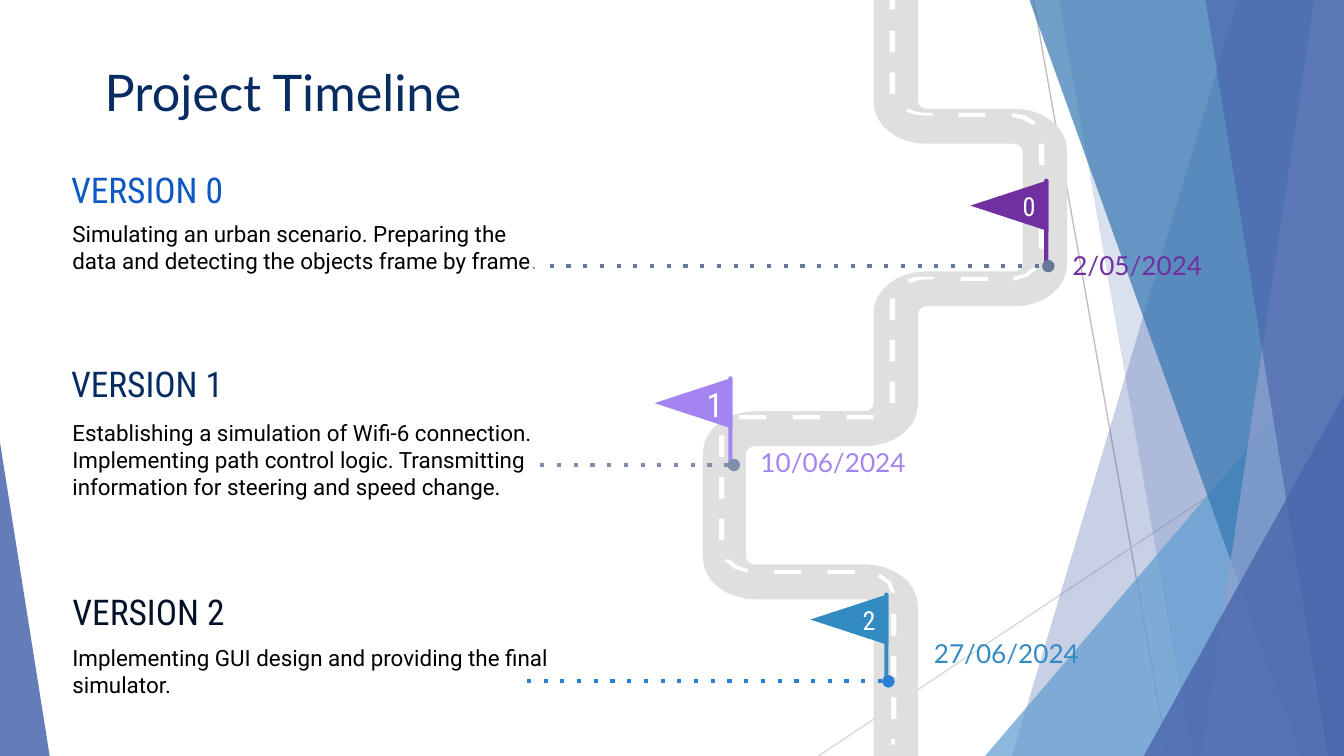
from dataclasses import dataclass
from math import cos, pi, sin

from lxml.etree import SubElement
from pptx import Presentation
from pptx.dml.color import RGBColor
from pptx.enum.shapes import MSO_CONNECTOR, MSO_SHAPE
from pptx.enum.text import MSO_ANCHOR, MSO_AUTO_SIZE, PP_ALIGN
from pptx.oxml.ns import qn
from pptx.util import Cm, Pt

WIDE = 10
FOOT = WIDE * 9 / 16


@dataclass(frozen=True)
class Theme:
    """Colours, fonts and type sizes of the slide."""
    navy: str = "072C62"
    ink: str = "000000"
    white: str = "FFFFFF"
    road: str = "DFDFDF"
    stop: str = "9D90A0"
    blue: str = "4A66AC"
    sky: str = "629DD1"
    teal: str = "3477B2"
    mist: str = "90A2CF"
    rays: tuple = ("BFBFBF", "D9D9D9")
    heads: tuple = ("0E58C4", "072C62", "031227")
    flags: tuple = ("7030A0", "A384F0", "328BC3")
    links: tuple = ("657896", "7F8FA9", "297FD5")
    sans: str = "Lato"
    text: str = "Roboto"
    slim: str = "Roboto Condensed"
    title: int = 27
    head: int = 19
    body: int = 12
    date: int = 14


def inch(size):
    """Turn inches into a length."""
    return Cm(2.54 * size)


def rgb(code):
    """Turn a hex code into a colour."""
    return RGBColor.from_string(code)


def bend(prev, spot, then, size):
    """Return points that round one square corner of the road."""
    def reach(goal):
        """Go from the corner toward a neighbour by the radius."""
        return [c + (0 if g == c else r if g > c else -r) for c, g, r in zip(spot, goal, size)]

    start, end = reach(prev), reach(then)
    turns = [i * pi / 16 for i in range(9)]
    return [tuple(s + e - c + (c - e) * cos(t) + (c - s) * sin(t)
                  for s, e, c in zip(start, end, spot)) for t in turns]


def box(x, y, wide, high):
    """Return the four corners of a box."""
    return [(x, y), (x + wide, y), (x + wide, y + high), (x, y + high)]


class Deck:
    """Holds the style and the current slide."""

    def __init__(self, theme):
        """Open a deck with one titled slide."""
        self.theme = theme
        self.show = Presentation()
        self.show.slide_width = inch(WIDE)
        self.show.slide_height = inch(FOOT)
        self.slide = self.show.slides.add_slide(self.show.slide_layouts[5])

    def paint(self, shape, tint, alpha=100):
        """Fill a shape with a plain colour."""
        shape.shadow.inherit = False
        shape.fill.solid()
        shape.fill.fore_color.rgb = rgb(tint)
        if alpha < 100:
            code = shape.element.spPr.find(".//" + qn("a:srgbClr"))
            SubElement(code, qn("a:alpha")).set("val", str(alpha * 1000))
        shape.line.fill.background()

    def shape(self, kind, area, tint, alpha=100, turn=0.5):
        """Add a preset shape."""
        item = self.slide.shapes.add_shape(kind, *map(inch, area))
        item.adjustments[0] = turn
        self.paint(item, tint, alpha)

    def outline(self, loops, tint, alpha=100):
        """Add one shape made of closed loops."""
        loops = [[(inch(x), inch(y)) for x, y in loop] for loop in loops]
        pen = self.slide.shapes.build_freeform(*loops[0][0], scale=1.0)
        for i, loop in enumerate(loops):
            if i:
                pen.move_to(*loop[0])
            pen.add_line_segments(loop[1:], close=True)
        self.paint(pen.convert_to_shape(), tint, alpha)

    def line(self, start, end, tint, width=0.75, dots=False):
        """Add a straight line, dotted with a round end if asked."""
        item = self.slide.shapes.add_connector(
            MSO_CONNECTOR.STRAIGHT, *map(inch, (*start, *end)))
        item.line.color.rgb = rgb(tint)
        item.line.width = Pt(width)
        if dots:
            edge = item.element.spPr.find(qn("a:ln"))
            SubElement(edge, qn("a:prstDash")).set("val", "dot")
            SubElement(edge, qn("a:tailEnd")).set("type", "oval")
        SubElement(item.element.spPr, qn("a:effectLst"))

    def style(self, para, font, size, tint):
        """Set the font of a paragraph."""
        para.font.name, para.font.size = font, Pt(size)
        para.font.color.rgb = rgb(tint)

    def title(self, words, area):
        """Place the slide title."""
        item = self.slide.shapes.title
        item.left, item.top, item.width, item.height = map(inch, area)
        frame = item.text_frame
        frame.text = words
        frame.auto_size = MSO_AUTO_SIZE.NONE
        frame.vertical_anchor = MSO_ANCHOR.MIDDLE
        frame.paragraphs[0].alignment = PP_ALIGN.CENTER
        self.style(frame.paragraphs[0], self.theme.sans, self.theme.title, self.theme.navy)

    def text(self, words, area, font, size, tint, grow=False):
        """Add a text box and return its paragraph."""
        frame = self.slide.shapes.add_textbox(*map(inch, area)).text_frame
        frame.word_wrap = True
        if grow:
            frame.auto_size = MSO_AUTO_SIZE.SHAPE_TO_FIT_TEXT
        else:
            frame.vertical_anchor = MSO_ANCHOR.MIDDLE
            frame.margin_top = frame.margin_bottom = inch(0.1)
        para = frame.paragraphs[0]
        para.add_run().text = words
        self.style(para, font, size, tint)
        return para

    def flag(self, x, y, mark, size, tint):
        """Add a numbered flag with the top of its pole at x, y."""
        self.outline([[(x, y + 0.01), (x, y + 0.39), (x - 0.58, y + 0.2)]], tint)
        self.shape(MSO_SHAPE.ROUNDED_RECTANGLE, (x - 0.03, y, 0.03, 0.66), tint)
        self.text(mark, (x - 0.29, y + 0.07, 0.38, 0.27), self.theme.slim, size, self.theme.white)

    def facets(self):
        """Add the rays and glass panes at the edges."""
        look = self.theme
        self.line((7.69, 0), (8.69, FOOT), look.rays[0])
        self.line((WIDE, 3.02), (6.09, FOOT), look.rays[1])

        def pane(top, foot, tint, alpha):
            """Add a pane that runs to the right edge."""
            self.outline([[(top, 0), (WIDE, 0), (WIDE, FOOT), (foot, FOOT)]], tint, alpha)

        def wedge(x, y, wide, tint, alpha, tip=1):
            """Add a triangle that stands on the foot of the slide."""
            self.shape(MSO_SHAPE.ISOSCELES_TRIANGLE, (x, y, wide, FOOT - y), tint, alpha, tip)

        pane(9.21, 7.53, look.blue, 30)
        pane(7.88, 8.87, look.blue, 20)
        wedge(7.33, 2.5, 2.67, look.sky, 72)
        pane(7.66, 9.68, look.teal, 70)
        pane(9.78, 8.94, look.mist, 70)
        pane(8.97, 9.88, look.blue, 65)
        wedge(8.51, 2.94, 1.49, look.blue, 80)
        wedge(0, 3.29, 0.37, look.blue, 85, 0)

    def road(self):
        """Add the winding road and its centre dashes."""
        wide, tight = (0.39, 0.31), (0.07, 0.06)
        spots = [(6.83, FOOT, None), (6.5, FOOT, None), (6.5, 4.46, tight), (5.23, 4.46, wide),
                 (5.23, 3.06, wide), (6.5, 3.06, tight), (6.5, 2.02, wide), (7.61, 2.02, tight),
                 (7.61, 1.07, tight), (6.5, 1.07, wide), (6.5, 0, None), (6.83, 0, None),
                 (6.83, 0.81, tight), (7.94, 0.81, wide), (7.94, 2.28, wide), (6.83, 2.28, tight),
                 (6.83, 3.32, wide), (5.55, 3.32, tight), (5.55, 4.2, tight), (6.83, 4.2, wide)]
        edge = []
        for i, (x, y, size) in enumerate(spots):
            then = spots[(i + 1) % len(spots)]
            edge += bend(spots[i - 1][:2], (x, y), then[:2], size) if size else [(x, y)]
        self.outline([edge], self.theme.road)

        dashes = [box(6.62, 0, 0.04, 0.07), box(6.63, 5.5, 0.03, 0.04)]
        for x, y, count in [(6.62, 0.23, 2), (7.73, 1.07, 3), (6.62, 2.22, 3),
                            (5.35, 3.24, 3), (6.63, 4.57, 3)]:
            dashes += [box(x, y + 0.31 * i, 0.04, 0.16) for i in range(count)]
        for x, y, count in [(7.13, 0.84, 1), (7.15, 2.06, 1), (5.5, 3.09, 3), (5.76, 4.24, 2)]:
            dashes += [box(x + 0.4 * i, y, 0.2, 0.03) for i in range(count)]
        dashes += [
            [(6.76, 0.81), (6.81, 0.83), (6.87, 0.84), (6.94, 0.84), (6.94, 0.86), (6.87, 0.86),
             (6.8, 0.85), (6.74, 0.83)],
            [(6.77, 2.11), (6.82, 2.09), (6.87, 2.08), (6.95, 2.08), (6.95, 2.06), (6.87, 2.06),
             (6.81, 2.06), (6.75, 2.08)],
            [(7.53, 0.84), (7.63, 0.86), (7.71, 0.91), (7.68, 0.93), (7.61, 0.89), (7.53, 0.87)],
            [(7.69, 1.99), (7.72, 2), (7.64, 2.06), (7.54, 2.09), (7.54, 2.06), (7.62, 2.04)],
            [(6.55, 4.27), (6.63, 4.33), (6.66, 4.41), (6.63, 4.41), (6.6, 4.34), (6.53, 4.29)],
            [(5.42, 4.16), (5.49, 4.21), (5.57, 4.24), (5.56, 4.26), (5.46, 4.23), (5.39, 4.17)]]
        self.outline(dashes, self.theme.white)


def main():
    """Build the timeline slide."""
    look = Theme()
    deck = Deck(look)
    deck.facets()
    deck.road()
    deck.title("Project Timeline", (0.59, 0.39, 3.03, 0.58))

    notes = [
        (0.43, 1.27, 1.55, 3.78, "Simulating an urban scenario. Preparing the data and "
         "detecting the objects frame by frame"),
        (0.43, 2.71, 3.13, 3.65, "Establishing a simulation of Wifi-6 connection. Implementing "
         "path control logic. Transmitting information for steering and speed change."),
        (0.44, 4.41, 4.7, 3.78, "Implementing GUI design and providing the final simulator.")]
    paras = []
    for i, (x, top, low, wide, words) in enumerate(notes):
        deck.text(f"VERSION {i}", (x, top, 2.39, 0.28), look.slim, look.head, look.heads[i])
        paras.append(deck.text(words, (0.44, low, wide, 0.58), look.text, look.body, look.ink))
    stop = paras[0].add_run()
    stop.text = "."
    stop.font.color.rgb = rgb(look.stop)

    links = [(4.09, 7.8, 1.98), (4.02, 5.46, 3.46), (3.92, 6.61, 5.07)]
    flags = [(7.8, 1.33, 14), (5.45, 2.8, 18), (6.61, 4.41, 14)]
    dates = [(7.88, 1.81, "2/05/2024"), (5.56, 3.27, "10/06/2024"), (6.85, 4.69, "27/06/2024")]
    for (x, y, size), (start, end, low), tint, dots in zip(flags, links, look.flags, look.links):
        deck.flag(x, y, str(flags.index((x, y, size))), size, tint)
        deck.line((start, low), (end, low), dots, 2.25, True)
    for (x, y, day), tint in zip(dates, look.flags):
        deck.text(day, (x, y, 1.52, 0.34), look.sans, look.date, tint, True)
    deck.show.save("out.pptx")


if __name__ == "__main__":
    main()
